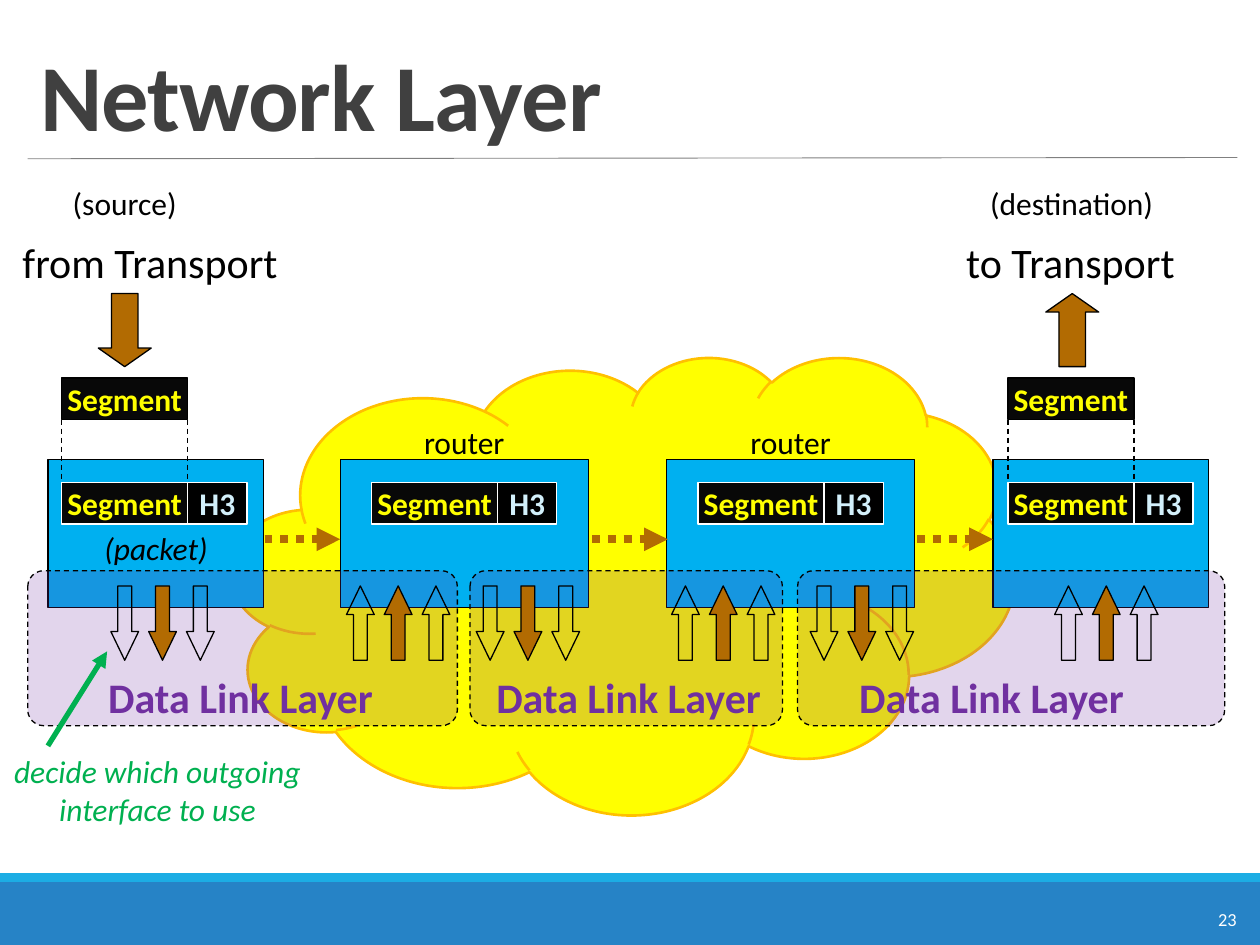
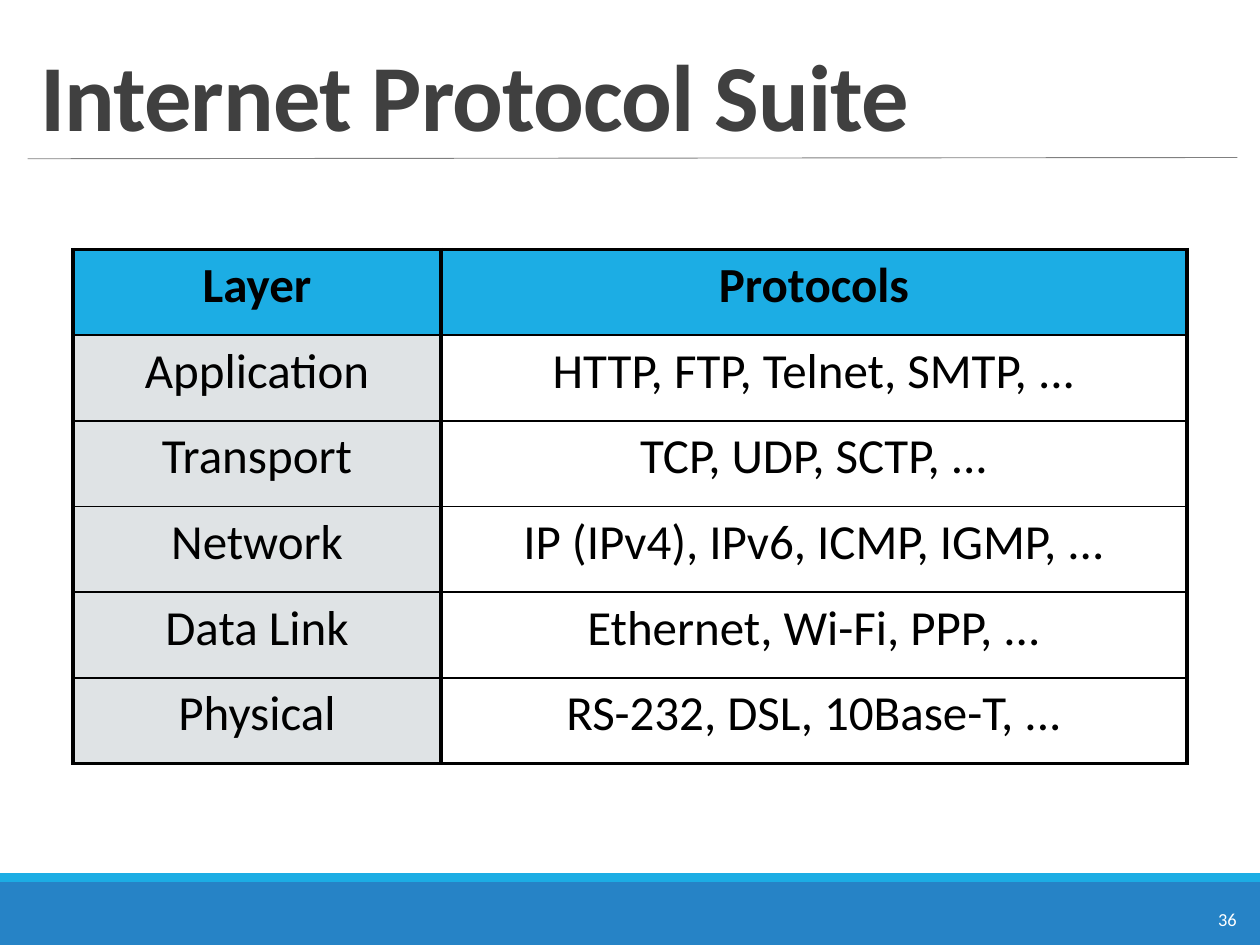
from pptx import Presentation
from pptx.dml.color import RGBColor
from pptx.enum import dml, shapes, text
from pptx.oxml import ns, xmlchemy
from pptx.util import Inches, Pt

FONT = "Calibri"
BLACK = RGBColor(0, 0, 0)
WHITE = RGBColor(0xFF, 0xFF, 0xFF)
TITLE_GRAY = RGBColor(0x40, 0x40, 0x40)
RULE_GRAY = RGBColor(0x80, 0x80, 0x80)
FOOTER_BLUE = RGBColor(0x26, 0x83, 0xC6)
ACCENT_BLUE = RGBColor(0x1C, 0xAD, 0xE4)
NODE_BLUE = RGBColor(0x00, 0xB0, 0xF0)
SEGMENT_BLACK = RGBColor(0x08, 0x08, 0x08)
HEADER_TEXT = RGBColor(0xD2, 0xEF, 0xFA)
YELLOW = RGBColor(0xFF, 0xFF, 0x00)
CLOUD_EDGE = RGBColor(0xFF, 0xC0, 0x00)
BROWN = RGBColor(0xB2, 0x6B, 0x02)
PURPLE = RGBColor(0x70, 0x30, 0xA0)
GREEN = RGBColor(0x00, 0xB0, 0x50)
LAYER_GRAY = RGBColor(0xDF, 0xE3, 0xE5)

SHAPE = shapes.MSO_SHAPE
DASH = dml.MSO_LINE.DASH
DOTS = dml.MSO_LINE.ROUND_DOT
CENTER = text.PP_ALIGN.CENTER

# Network diagram
NODE_TOP, NODE_HEIGHT = 3.65, 1.17
PACKET_TOP, SEGMENT_WIDTH, HEADER_WIDTH, PACKET_HEIGHT = 3.83, 1, 0.47, 0.33
SEGMENT_TOP = 3
HOSTS = [  # node left, segment left, transport arrow left, direction
    (0.38, 0.49, 0.78, SHAPE.DOWN_ARROW),
    (7.88, 8, 8.3, SHAPE.UP_ARROW),
]
HOST_WIDTH = 1.71
ROUTERS = [2.7, 5.29]
ROUTER_WIDTH = 1.97
HOPS = [2.1, 4.7, 7.28]
HOP_LENGTH = 0.6
LINKS = [  # zone left, zone width, label left, down arrows left, up arrows left
    (0.22, 3.41, 0.76, 0.88, 2.75),
    (3.73, 2.48, 3.84, 3.78, 5.33),
    (6.33, 3.39, 6.72, 6.43, 8.37),
]
INTERFACE_GAP = 0.3
CAPTIONS = [  # text, box, size, centred
    ("(source)", (0.47, 1.41, 1.04, 0.4), 18, True),
    ("(destination)", (7.75, 1.41, 1.51, 0.4), 18, True),
    ("from Transport", (0.08, 1.83, 2.25, 0.5), 24, False),
    ("to Transport", (7.57, 1.83, 1.87, 0.5), 24, False),
]

# Protocol table
PROTOCOLS = [
    ("Layer", "Protocols"),
    ("Application", "HTTP, FTP, Telnet, SMTP, ..."),
    ("Transport", "TCP, UDP, SCTP, ..."),
    ("Network", "IP (IPv4), IPv6, ICMP, IGMP, ..."),
    ("Data Link", "Ethernet, Wi-Fi, PPP, ..."),
    ("Physical", "RS-232, DSL, 10Base-T, ..."),
]
COLUMN_WIDTHS = [2.92, 5.92]
ROW_HEIGHT = 0.68


def inches(box):
    return [Inches(length) for length in box]


def style_text(frame, words, size, color, bold=False, italic=False, align=None):
    frame.text = words
    for paragraph in frame.paragraphs:
        paragraph.alignment = align
        font = paragraph.font
        font.name, font.size, font.bold, font.italic = FONT, Pt(size), bold, italic
        font.color.rgb = color


def add_label(slide, words, box, size, color=BLACK, wrap=False, **style):
    label = slide.shapes.add_textbox(*inches(box))
    label.text_frame.word_wrap = wrap
    style_text(label.text_frame, words, size, color, **style)
    return label.text_frame


def add_block(slide, kind, box, fill=None, line=None, width=0.75, adjust=()):
    block = slide.shapes.add_shape(kind, *inches(box))
    block.shadow.inherit = False
    for index, value in enumerate(adjust):
        block.adjustments[index] = value
    if fill is None:
        block.fill.background()
    else:
        block.fill.solid()
        block.fill.fore_color.rgb = fill
    if line is None:
        block.line.fill.background()
    else:
        block.line.color.rgb = line
        block.line.width = Pt(width)
    return block


def add_line(slide, start, end, color, width, dash=None, arrow=False):
    line = slide.shapes.add_connector(shapes.MSO_CONNECTOR.STRAIGHT, *inches(start + end))
    line.line.color.rgb = color
    line.line.width = Pt(width)
    if dash:
        line.line.dash_style = dash
    if arrow:
        head = xmlchemy.OxmlElement("a:tailEnd")
        head.set("type", "triangle")
        line.line._get_or_add_ln().append(head)
    line._element.spPr.append(xmlchemy.OxmlElement("a:effectLst"))


def add_base_slide(deck, title, number):
    slide = deck.slides.add_slide(deck.slide_layouts[6])
    add_block(slide, SHAPE.RECTANGLE, (0, 7, 10, 0.5), FOOTER_BLUE)
    add_block(slide, SHAPE.RECTANGLE, (0, 6.93, 10, 0.07), ACCENT_BLUE)
    add_line(slide, (0.22, 1.26), (9.82, 1.25), RULE_GRAY, 0.5)
    add_label(slide, number, (9.57, 7.16, 0.37, 0.28), 10.5, WHITE)
    heading = add_label(slide, title, (0.22, 0.25, 9.6, 1), 54, TITLE_GRAY, wrap=True, bold=True)
    heading.vertical_anchor = text.MSO_ANCHOR.BOTTOM
    heading.paragraphs[0].line_spacing = 0.85
    heading.paragraphs[0].runs[0].font._element.set("spc", "-50")
    return slide


def add_data_box(slide, words, left, top, width, fill, color, line):
    box = add_block(slide, SHAPE.RECTANGLE, (left, top, width, PACKET_HEIGHT), fill, line)
    box.text_frame.word_wrap = False
    box.text_frame.vertical_anchor = text.MSO_ANCHOR.MIDDLE
    style_text(box.text_frame, words, 18, color, bold=True, align=CENTER)


def add_segment(slide, left, top, line):
    add_data_box(slide, "Segment", left, top, SEGMENT_WIDTH, SEGMENT_BLACK, YELLOW, line)


def add_packet(slide, left):
    add_segment(slide, left, PACKET_TOP, WHITE)
    add_data_box(slide, "H3", left + SEGMENT_WIDTH, PACKET_TOP, HEADER_WIDTH, BLACK, HEADER_TEXT, WHITE)


def add_node(slide, left, width):
    add_block(slide, SHAPE.RECTANGLE, (left, NODE_TOP, width, NODE_HEIGHT), NODE_BLUE, BLACK)


def add_host(slide, left, segment_left, arrow_left, direction):
    add_node(slide, left, HOST_WIDTH)
    add_block(slide, direction, (arrow_left, 2.33, 0.42, 0.58), BROWN, BLACK, adjust=(0.5, 0.35))
    add_segment(slide, segment_left, SEGMENT_TOP, BLACK)
    add_packet(slide, segment_left)
    for x in (segment_left, segment_left + SEGMENT_WIDTH):
        add_line(slide, (x, SEGMENT_TOP + PACKET_HEIGHT), (x, PACKET_TOP), BLACK, 0.75, DASH)


def add_router(slide, left):
    add_node(slide, left, ROUTER_WIDTH)
    add_label(slide, "router", (left + 0.56, 3.31, 0.85, 0.4), 18, align=CENTER)
    add_packet(slide, left + 0.25)


def add_interfaces(slide, left, direction):
    """Three outgoing or incoming interfaces, the middle one chosen."""
    for index, fill in enumerate((None, BROWN, None)):
        box = (left + index * INTERFACE_GAP, 4.65, 0.22, 0.59)
        add_block(slide, direction, box, fill, BLACK, adjust=(0.5, 1.034))


def add_link(slide, left, width, label_left, down_left, up_left):
    zone = add_block(slide, SHAPE.ROUNDED_RECTANGLE, (left, 4.53, width, 1.23),
                     PURPLE, BLACK, adjust=(0.103,))
    zone.line.dash_style = DASH
    alpha = xmlchemy.OxmlElement("a:alpha")
    alpha.set("val", "20000")
    zone._element.spPr.find(ns.qn("a:solidFill"))[0].append(alpha)
    add_interfaces(slide, down_left, SHAPE.DOWN_ARROW)
    add_interfaces(slide, up_left, SHAPE.UP_ARROW)
    add_label(slide, "Data Link Layer", (label_left, 5.28, 2.32, 0.5), 24, PURPLE, bold=True)


def add_network_slide(deck):
    slide = add_base_slide(deck, "Network Layer", "23")
    add_block(slide, SHAPE.CLOUD, (1.83, 2.83, 6.22, 3.63), YELLOW, CLOUD_EDGE, 1.5)
    for left in ROUTERS:
        add_router(slide, left)
    for host in HOSTS:
        add_host(slide, *host)
    for words, box, size, centred in CAPTIONS:
        add_label(slide, words, box, size, align=CENTER if centred else None)
    add_label(slide, "(packet)", (0.73, 4.15, 1.12, 0.4), 18, italic=True)
    for link in LINKS:
        add_link(slide, *link)
    for left in HOPS:
        add_line(slide, (left, 4.28), (left + HOP_LENGTH, 4.28), BROWN, 4.5, DOTS, arrow=True)
    add_label(slide, "decide which outgoing\vinterface to use", (0, 5.92, 2.5, 0.71), 18,
              GREEN, italic=True, align=CENTER)
    add_line(slide, (0.38, 5.92), (0.85, 5.17), GREEN, 3, arrow=True)


def set_borders(cell, widths):
    """Black borders; widths in points for left, right, top, bottom."""
    properties = cell._tc.get_or_add_tcPr()
    for index, (side, width) in enumerate(zip("LRTB", widths)):
        border = xmlchemy.OxmlElement(f"a:ln{side}")
        border.set("w", str(Pt(width)))
        fill = xmlchemy.OxmlElement("a:solidFill")
        color = xmlchemy.OxmlElement("a:srgbClr")
        color.set("val", str(BLACK))
        fill.append(color)
        border.append(fill)
        properties.insert(index, border)


def add_protocol_slide(deck):
    slide = add_base_slide(deck, "Internet Protocol Suite", "36")
    rows = len(PROTOCOLS)
    box = (0.58, 1.98, sum(COLUMN_WIDTHS), rows * ROW_HEIGHT)
    table = slide.shapes.add_table(rows, len(COLUMN_WIDTHS), *inches(box)).table
    for column, width in zip(table.columns, COLUMN_WIDTHS):
        column.width = Inches(width)
    for r, entries in enumerate(PROTOCOLS):
        table.rows[r].height = Inches(ROW_HEIGHT)
        for c, words in enumerate(entries):
            cell = table.cell(r, c)
            style_text(cell.text_frame, words, 28, BLACK, bold=r == 0, align=CENTER)
            cell.fill.solid()
            cell.fill.fore_color.rgb = ACCENT_BLUE if r == 0 else (LAYER_GRAY, WHITE)[c]
            top = 2.25 if r == 0 else 1
            bottom = 2.25 if r == rows - 1 else 1
            set_borders(cell, (2.25, 2.25, top, bottom))


def main():
    deck = Presentation()
    deck.slide_width, deck.slide_height = Inches(10), Inches(7.5)
    add_network_slide(deck)
    add_protocol_slide(deck)
    deck.save("out.pptx")


if __name__ == "__main__":
    main()
